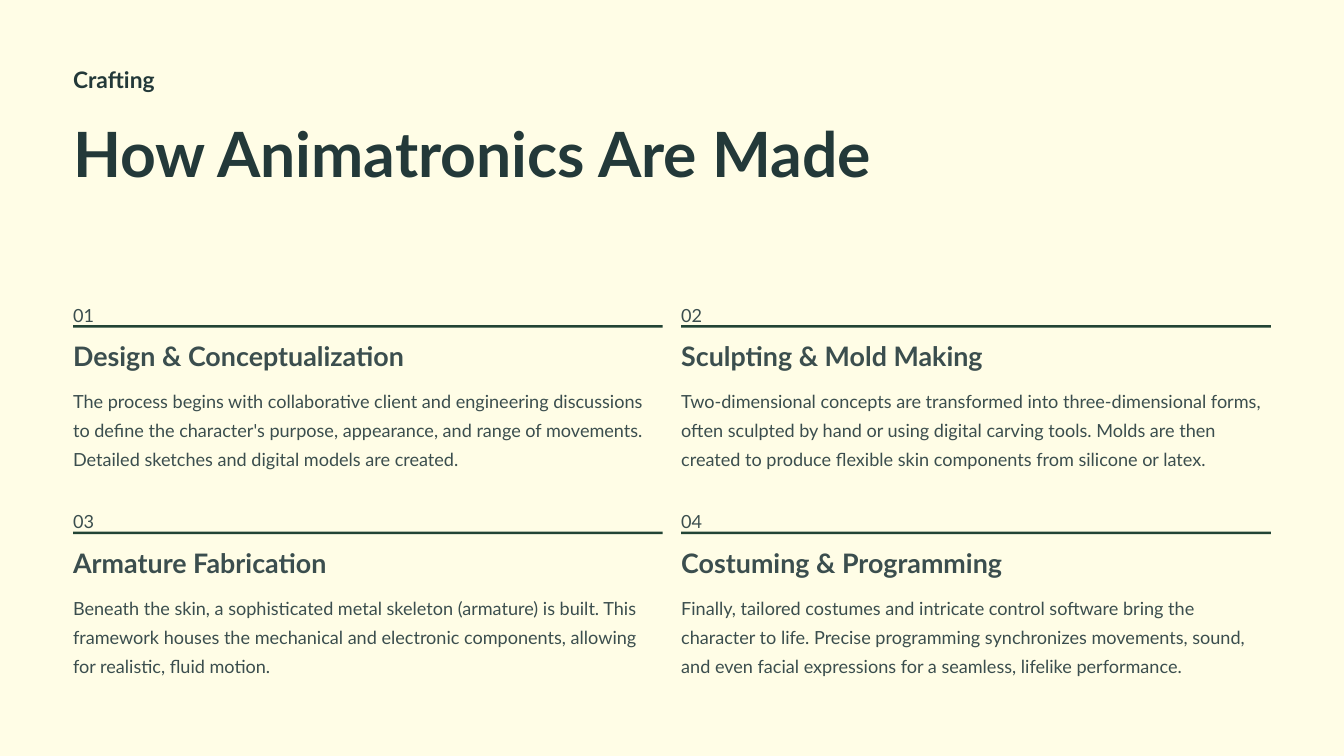
from pptx import Presentation
from pptx import util as u
from pptx.dml.color import RGBColor
from pptx.enum import shapes

# Grid in inches: two columns and two rows of steps
WIDTH, HEIGHT = 16, 9
MARGIN, COL_W, GUTTER = 0.87, 7.02, 0.22
TOP, ROW_H = 3.53, 2.46

STEPS = [
    ("Design & Conceptualization", 4.95,
     "The process begins with collaborative client and engineering discussions "
     "to define the character's purpose, appearance, and range of movements. "
     "Detailed sketches and digital models are created."),
    ("Sculpting & Mold Making", 4.41,
     "Two-dimensional concepts are transformed into three-dimensional forms, "
     "often sculpted by hand or using digital carving tools. Molds are then "
     "created to produce flexible skin components from silicone or latex."),
    ("Armature Fabrication", 3.85,
     "Beneath the skin, a sophisticated metal skeleton (armature) is built. "
     "This framework houses the mechanical and electronic components, allowing "
     "for realistic, fluid motion."),
    ("Costuming & Programming", 4.84,
     "Finally, tailored costumes and intricate control software bring the "
     "character to life. Precise programming synchronizes movements, sound, "
     "and even facial expressions for a seamless, lifelike performance."),
]


def color(value):
    return RGBColor.from_string(value)


class Deck:
    font = "Lato"
    paper, title, body, line = "FFFDE6", "233939", "3B4E4E", "224435"

    def __init__(self):
        self.prs = Presentation()
        self.prs.slide_width, self.prs.slide_height = u.Inches(WIDTH), u.Inches(HEIGHT)
        self.s = self.prs.slides.add_slide(self.prs.slide_layouts[6])

    def rect(self, box, fill):
        sp = self.s.shapes.add_shape(shapes.MSO_SHAPE.RECTANGLE, *map(u.Inches, box))
        sp.shadow.inherit = False
        sp.fill.solid()
        sp.fill.fore_color.rgb = color(fill)
        sp.line.fill.background()

    def text(self, box, words, size, leading, ink, bold=False, wrap=False):
        tf = self.s.shapes.add_textbox(*map(u.Inches, box)).text_frame
        tf.margin_left = tf.margin_right = tf.margin_top = tf.margin_bottom = 0
        tf.word_wrap = wrap
        p = tf.paragraphs[0]
        p.text = words
        p.line_spacing = u.Pt(leading)
        p.font.name, p.font.size, p.font.bold = self.font, u.Pt(size), bold
        p.font.color.rgb = color(ink)

    def step(self, index, heading, width, words):
        row, col = divmod(index, 2)
        x = MARGIN + col * (COL_W + GUTTER)
        y = TOP + row * ROW_H
        self.text((x, y, 0.3, 0.27), f"{index + 1:02}", 15.5, 25, self.body)
        self.rect((x, y + 0.34, COL_W, 0.03), self.line)
        self.text((x, y + 0.5, width, 0.41), heading, 23, 29, self.body, bold=True)
        self.text((x, y + 1.03, COL_W, 1.04), words, 15.5, 25, self.body, wrap=True)


def main():
    deck = Deck()

    # Paper backdrop
    deck.rect((0, 0, WIDTH, HEIGHT), deck.paper)

    # Section label and title
    deck.text((MARGIN, 0.77, 2.71, 0.34), "Crafting", 19.5, 24, deck.title, bold=True)
    deck.text((MARGIN, 1.33, 2 * COL_W + GUTTER, 1.14), "How Animatronics Are Made",
              53.5, 67, deck.title, bold=True, wrap=True)

    # Four numbered steps
    for index, step in enumerate(STEPS):
        deck.step(index, *step)

    deck.prs.save("out.pptx")


if __name__ == "__main__":
    main()
